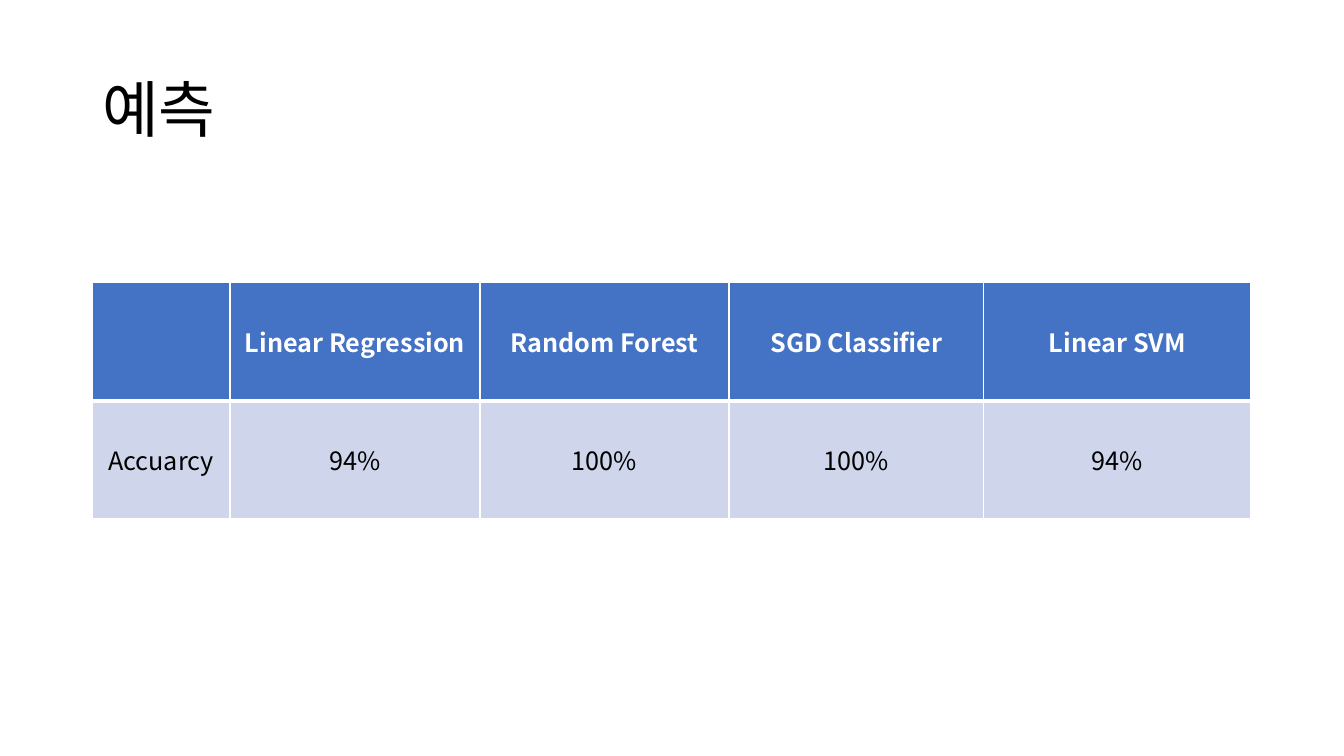
from lxml import etree
from pptx import Presentation
from pptx.dml.color import RGBColor
from pptx.enum.text import MSO_ANCHOR, MSO_AUTO_SIZE, PP_ALIGN
from pptx.oxml.ns import qn
from pptx.util import Emu, Pt

LEFT, CENTER = PP_ALIGN.LEFT, PP_ALIGN.CENTER
MIDDLE = MSO_ANCHOR.MIDDLE
NO_AUTOFIT = MSO_AUTO_SIZE.NONE

EMU_PER_PX = 12192000 / 1344
THEME = {
    "font": "Noto Sans CJK KR",
    "title_size": 44,
    "table_size": 18,
    "text": "000000",
    "header_text": "FFFFFF",
    "header_fill": "4472C4",
    "body_fill": "CFD5EA",
    "border": "FFFFFF",
    "thin": 1,
    "thick": 3,
}


def px(length):
    return Emu(round(length * EMU_PER_PX))


def format_text(paragraph, size, color, bold, alignment):
    paragraph.alignment = alignment
    for run in paragraph.runs:
        run.font.size = Pt(size)
        run.font.bold = bold
        run.font.color.rgb = RGBColor.from_string(color)
        run.font.name = THEME["font"]
        east_asian = etree.SubElement(run.font._element, qn("a:ea"))
        east_asian.set("typeface", THEME["font"])


presentation = Presentation()
presentation.slide_width, presentation.slide_height = px(1344), px(756)
slide = presentation.slides.add_slide(presentation.slide_layouts[5])

# Title
title = slide.shapes.title
title.left, title.top, title.width, title.height = px(92), px(40), px(1159), px(146)
title.text_frame.text = "예측"
title.text_frame.auto_size = NO_AUTOFIT
title.text_frame.vertical_anchor = MIDDLE
heading = title.text_frame.paragraphs[0]
heading.line_spacing = 0.9
format_text(heading, THEME["title_size"], THEME["text"], False, LEFT)

# Accuracy table
ROWS = [
    ["", "Linear Regression", "Random Forest", "SGD Classifier", "Linear SVM"],
    ["Accuarcy", "94%", "100%", "100%", "94%"],
]
COLUMN_WIDTHS = [138, 250, 249, 255, 267]
ROW_HEIGHTS = [119, 118]

table = slide.shapes.add_table(
    len(ROWS), len(COLUMN_WIDTHS), px(92), px(282),
    px(sum(COLUMN_WIDTHS)), px(sum(ROW_HEIGHTS)),
).table
for column, width in zip(table.columns, COLUMN_WIDTHS):
    column.width = px(width)
for row, height in zip(table.rows, ROW_HEIGHTS):
    row.height = px(height)

for row_index, labels in enumerate(ROWS):
    is_header = row_index == 0
    fill = THEME["header_fill"] if is_header else THEME["body_fill"]
    color = THEME["header_text"] if is_header else THEME["text"]
    # The rule between header and body is the thick one
    thick_side = "lnB" if is_header else "lnT"

    for column_index, label in enumerate(labels):
        cell = table.cell(row_index, column_index)
        cell.vertical_anchor = MIDDLE
        cell.fill.solid()
        cell.fill.fore_color.rgb = RGBColor.from_string(fill)
        cell.text_frame.text = label
        format_text(cell.text_frame.paragraphs[0], THEME["table_size"], color, is_header, CENTER)

        # Cell borders come before the fill
        properties = cell._tc.get_or_add_tcPr()
        for position, side in enumerate(["lnL", "lnR", "lnT", "lnB"]):
            width = THEME["thick"] if side == thick_side else THEME["thin"]
            border = etree.Element(qn(f"a:{side}"), w=str(Pt(width)))
            border_fill = etree.SubElement(border, qn("a:solidFill"))
            etree.SubElement(border_fill, qn("a:srgbClr"), val=THEME["border"])
            properties.insert(position, border)

presentation.save("out.pptx")
